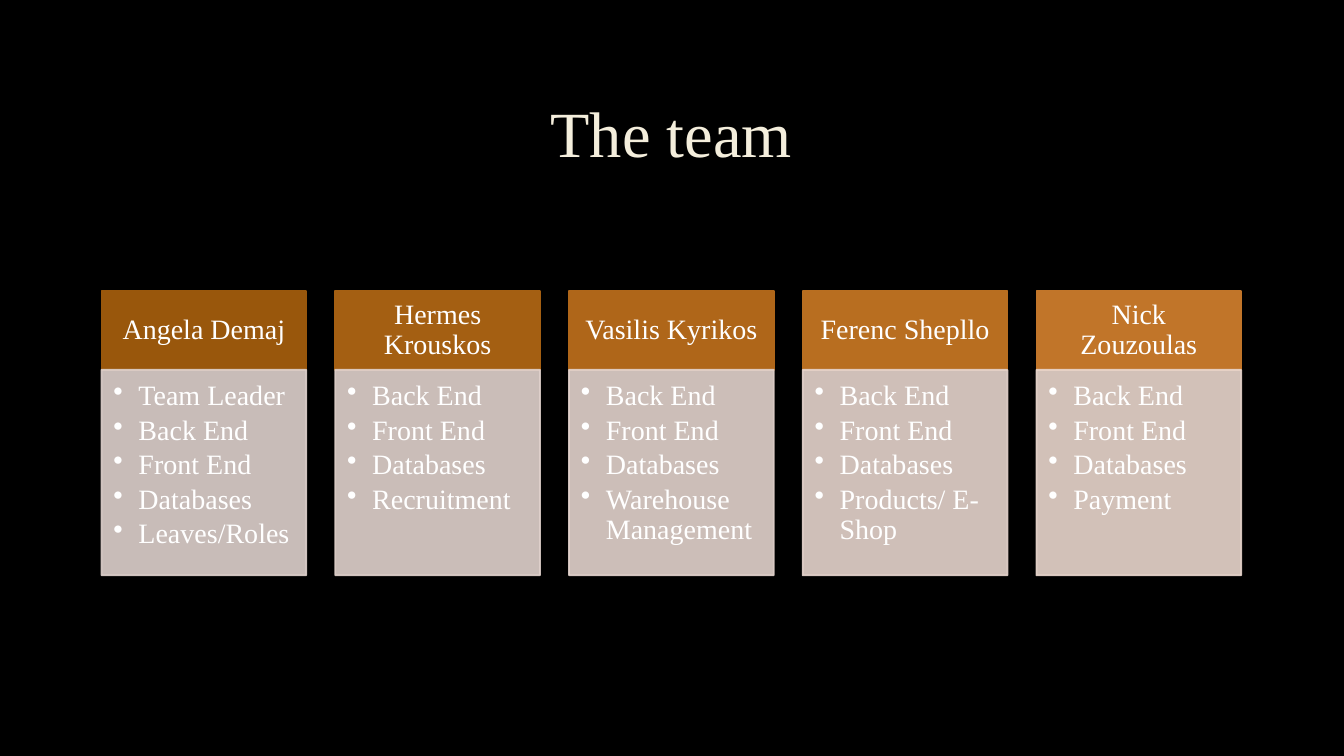
"""Build the team slide: five members, each with a list of duties."""
from lxml import etree
from pptx import Presentation
from pptx import util as u
from pptx.dml.color import RGBColor
from pptx.enum import shapes, text
from pptx.oxml import ns

BLACK = RGBColor(0, 0, 0)
CREAM = RGBColor(0xF4, 0xEE, 0xDC)
WHITE = RGBColor(255, 255, 255)
HEADS = [RGBColor.from_string(c) for c in
         ("99570C", "A45F12", "AF6619", "B86E20", "C17529")]
BODIES = [RGBColor.from_string(c) for c in
          ("DED1CC", "E1D2CC", "E3D3CD", "E6D4CD", "E9D6CD")]

TEAM = [
    ("Angela Demaj", ["Team Leader", "Back End", "Front End", "Databases", "Leaves/Roles"]),
    ("Hermes Krouskos", ["Back End", "Front End", "Databases", "Recruitment"]),
    ("Vasilis Kyrikos", ["Back End", "Front End", "Databases", "Warehouse Management"]),
    ("Ferenc Shepllo", ["Back End", "Front End", "Databases", "Products/ E-Shop"]),
    ("Nick Zouzoulas", ["Back End", "Front End", "Databases", "Payment"]),
]
LEFT, STEP, WIDTH = 2.56, 5.89, 5.16
TOP, HEAD, BODY = 7.34, 1.98, 5.18
MID = text.MSO_ANCHOR.MIDDLE
HIGH = text.MSO_ANCHOR.TOP


def write(shape, lines, size, color, anchor, pads, bullet=False):
    frame = shape.text_frame
    sides = ("margin_left", "margin_top", "margin_right", "margin_bottom")
    form = dict(zip(sides, map(u.Cm, pads)), word_wrap=True, vertical_anchor=anchor)
    for key, val in form.items():
        setattr(frame, key, val)
    frame.text = "\n".join(lines)
    for para in frame.paragraphs:
        para.line_spacing = 0.9
        para.alignment = text.PP_ALIGN.LEFT if bullet else text.PP_ALIGN.CENTER
        if bullet:
            para.space_after = u.Pt(3)
            props = para._p.get_or_add_pPr()
            props.set("marL", str(u.Cm(0.63)))
            props.set("indent", str(-u.Cm(0.63)))
            etree.SubElement(props, ns.qn("a:buChar"), char="•")
        for run in para.runs:
            for key, val in {"name": "Times New Roman", "size": u.Pt(size)}.items():
                setattr(run.font, key, val)
            run.font.color.rgb = color


def panel(left, top, high, color, alpha):
    box = slide.shapes.add_shape(shapes.MSO_SHAPE.RECTANGLE, u.Cm(left), u.Cm(top),
                                 u.Cm(WIDTH), u.Cm(high))
    box.shadow.inherit = False
    box.line.width = u.Pt(1.25)
    for fill in (box.fill, box.line.fill):
        fill.solid()
        fill.fore_color.rgb = color
    for tint in box._element.spPr.iter(ns.qn("a:srgbClr")):
        etree.SubElement(tint, ns.qn("a:alpha"), val=str(alpha * 1000))
    return box


deck = Presentation()
deck.slide_width, deck.slide_height = u.Cm(33.87), u.Cm(19.05)
slide = deck.slides.add_slide(deck.slide_layouts[6])
slide.background.fill.solid()
slide.background.fill.fore_color.rgb = BLACK

title = slide.shapes.add_textbox(u.Cm(2.54), u.Cm(1.7), u.Cm(28.75), u.Cm(3.5))
write(title, ["The team"], 46, CREAM, MID, (0.25, 0.13, 0.25, 0.13))

for i, (name, jobs) in enumerate(TEAM):
    left = LEFT + i * STEP
    head = panel(left, TOP, HEAD, HEADS[i], 100)
    write(head, [name], 20, WHITE, MID, (0.4, 0.23, 0.4, 0.23))
    body = panel(left, TOP + HEAD, BODY, BODIES[i], 90)
    write(body, jobs, 20, WHITE, HIGH, (0.3, 0.3, 0.35, 0.43), bullet=True)

deck.save("out.pptx")
